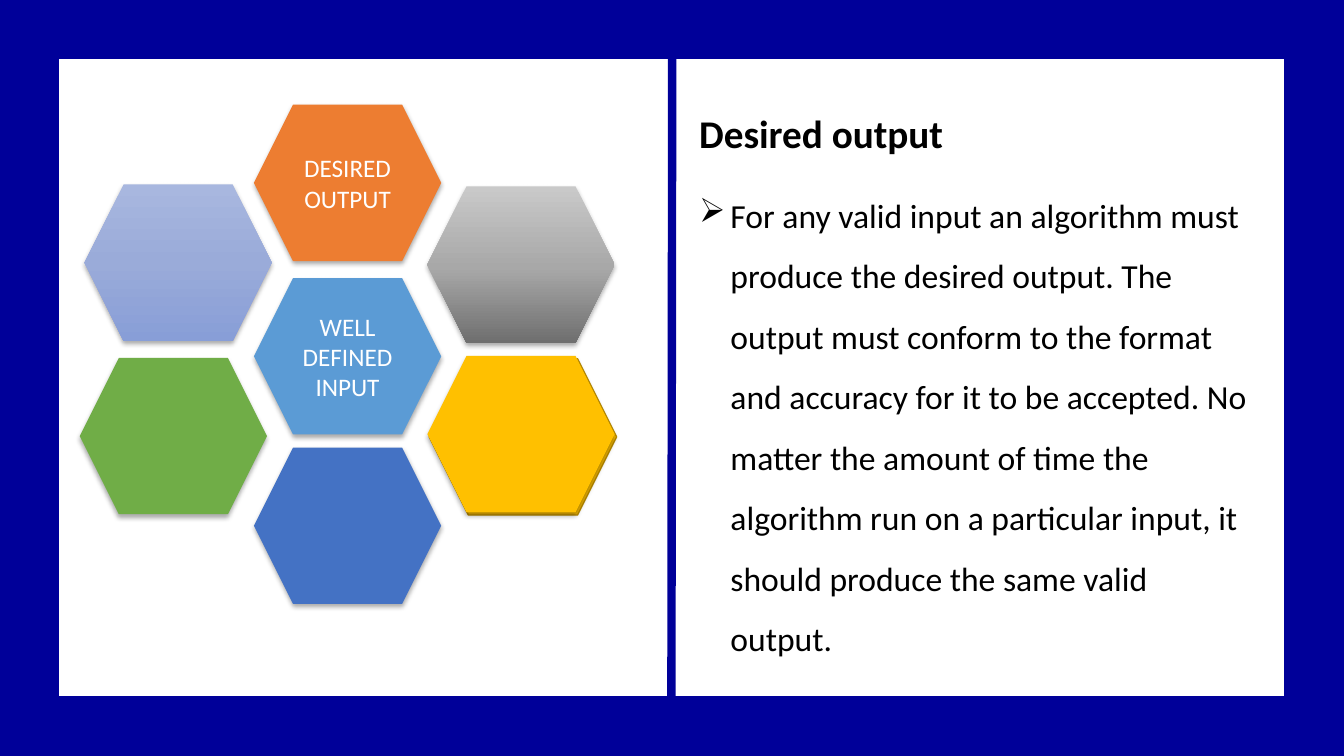
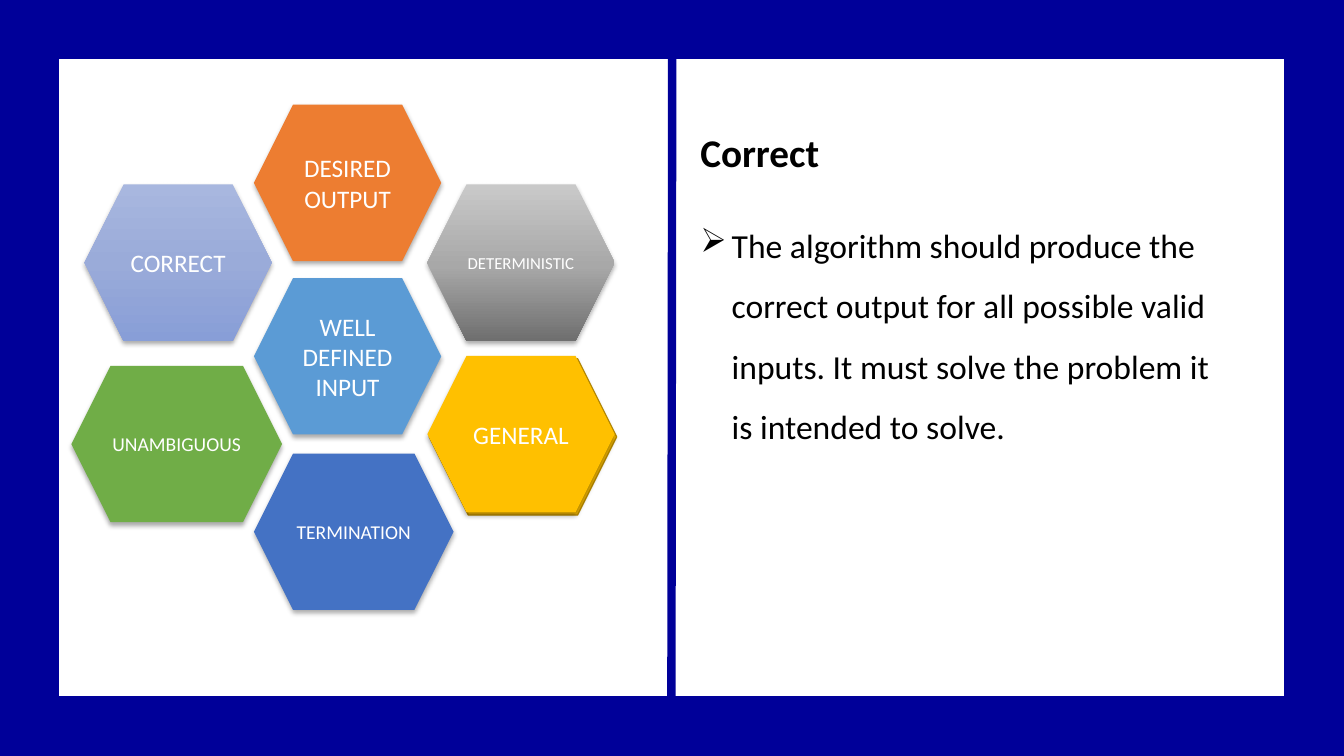
"""Build two slides on the properties of an algorithm, each with a honeycomb and an explanation."""
from lxml import etree
from pptx import Presentation
from pptx import util as u
from pptx.dml.color import RGBColor
from pptx.enum import shapes, text
from pptx.oxml import ns

COLOURS = {
    "frame": "000099", "ink": "000000", "paper": "FFFFFF",
    "orange": "ED7D31", "sky": "5B9BD5", "green": "70AD47",
    "gold": "FFC000", "dark gold": "BD8E00", "blue": "4472C4",
}
GRADIENTS = {
    "grey": [(0, "C9C9C9"), (52, "A8A8A8"), (100, "6F6F6F")],
    "lavender": [(0, "A8B7DF"), (50, "9AABD9"), (100, "889ED7")],
}
FONT = "Calibri"
WIDTH, HEIGHT = 33.87, 19.05
DIVIDER = (16.94, 1.42, 16.92, 17.6)
CELL_WIDTH, CELL_HEIGHT = 4.72, 3.94
TITLE_HEIGHT = 1.45
BULLET_INDENT = 0.79
LABEL_STYLE = {"size": u.Pt(18), "name": FONT}
TITLE_STYLE = {"size": u.Pt(28), "name": FONT, "bold": True}
BODY_STYLE = {"size": u.Pt(24), "name": FONT}

HONEYCOMB = {
    "orange": {"left": 6.4, "top": 2.64, "label": "DESIRED OUTPUT"},
    "grey": {"left": 10.77, "top": 4.7},
    "sky": {"left": 6.4, "top": 7.01, "label": "WELL DEFINED INPUT"},
    "lavender": {"left": 2.13, "top": 4.65},
    "dark gold": {"left": 10.82, "top": 9.04, "fill": "gold", "outline": "dark gold"},
    "green": {"left": 2.01, "top": 9.02},
    "gold": {"left": 10.77, "top": 8.97},
    "blue": {"left": 6.4, "top": 11.28},
}
SLIDES = [
    {
        "title": "Desired output",
        "title_box": (17.37, 2.64, 7.21, TITLE_HEIGHT),
        "body": "For any valid input an algorithm must produce the desired output. "
                "The output must conform to the format and accuracy for it to be accepted. "
                "No matter the amount of time the algorithm run on a particular input, "
                "it should produce the same valid output.",
        "body_box": (17.37, 4.27, 14.4, 12.57),
        "cells": {},
    },
    {
        "title": "Correct",
        "title_box": (17.4, 3.1, 3.56, TITLE_HEIGHT),
        "body": "The algorithm should produce the correct output for all possible valid inputs. "
                "It must solve the problem it is intended to solve.",
        "body_box": (17.4, 5.03, 14, 6.4),
        "cells": {
            "grey": {"top": 4.65, "label": "DETERMINISTIC", "size": 12},
            "lavender": {"label": "CORRECT"},
            "green": {"left": 1.8, "top": 9.22, "width": 5.31, "label": "UNAMBIGUOUS", "size": 14},
            "gold": {"label": "GENERAL"},
            "blue": {"top": 11.43, "width": 5.03, "label": "TERMINATION", "size": 14},
        },
    },
]


def colour(name):
    return RGBColor.from_string(COLOURS[name])


def lengths(values):
    return [u.Cm(value) for value in values]


def child(parent, tag, **attributes):
    return etree.SubElement(parent, ns.qn(tag), attributes)


def write(paragraph, words, style, ink):
    run = paragraph.add_run()
    run.text = words
    for name, value in style.items():
        setattr(run.font, name, value)
    run.font.color.rgb = colour(ink)


def draw_line(line, name, points):
    line.color.rgb = colour(name)
    line.width = u.Pt(points)


def paint(fill, name):
    if name not in GRADIENTS:
        fill.solid()
        fill.fore_color.rgb = colour(name)
        return
    fill.gradient()
    fill.gradient_angle = 270


def set_stops(shape, stops):
    stop_list = shape._element.spPr.find(".//" + ns.qn("a:gsLst"))
    for stop in list(stop_list):
        stop_list.remove(stop)
    for percent, value in stops:
        stop = child(stop_list, "a:gs", pos=str(percent * 1000))
        child(stop, "a:srgbClr", val=value)


def add_soft_shadow(shape):
    effects = shape._element.spPr.find(ns.qn("a:effectLst"))
    shadow = child(effects, "a:outerShdw", blurRad=str(u.Pt(3.5)), dist=str(u.Pt(2.2)),
                   dir="5400000", algn="ctr", rotWithShape="0")
    child(child(shadow, "a:srgbClr", val=COLOURS["ink"]), "a:alpha", val="32000")


def add_frame(slide):
    frame = slide.shapes.add_shape(shapes.MSO_SHAPE.RECTANGLE, *lengths((0, 0, WIDTH, HEIGHT)))
    frame.shadow.inherit = False
    frame.fill.background()
    draw_line(frame.line, "frame", 85)
    divider = slide.shapes.add_connector(shapes.MSO_CONNECTOR.STRAIGHT, *lengths(DIVIDER))
    draw_line(divider.line, "frame", 6)
    child(divider._element.spPr, "a:effectLst")


def add_cell(slide, name, cell):
    box = (cell["left"], cell["top"], cell.get("width", CELL_WIDTH), CELL_HEIGHT)
    hexagon = slide.shapes.add_shape(shapes.MSO_SHAPE.HEXAGON, *lengths(box))
    hexagon.shadow.inherit = False
    paint(hexagon.fill, cell.get("fill", name))
    if name in GRADIENTS:
        set_stops(hexagon, GRADIENTS[name])
    if "outline" in cell:
        draw_line(hexagon.line, cell["outline"], 1)
    else:
        hexagon.line.fill.background()
        add_soft_shadow(hexagon)
    if "label" in cell:
        frame = hexagon.text_frame
        frame.vertical_anchor = text.MSO_ANCHOR.MIDDLE
        paragraph = frame.paragraphs[0]
        paragraph.alignment = text.PP_ALIGN.CENTER
        style = {**LABEL_STYLE, "size": u.Pt(cell.get("size", 18))}
        write(paragraph, cell["label"], style, "paper")


def add_text(slide, words, box, style, wrap):
    frame = slide.shapes.add_textbox(*lengths(box)).text_frame
    frame.word_wrap = wrap
    frame.auto_size = text.MSO_AUTO_SIZE.SHAPE_TO_FIT_TEXT
    paragraph = frame.paragraphs[0]
    write(paragraph, words, style, "ink")
    return paragraph


def add_bullet(paragraph):
    paragraph.line_spacing = 1.5
    properties = paragraph._p.get_or_add_pPr()
    properties.set("marL", str(u.Cm(BULLET_INDENT)))
    properties.set("indent", str(-u.Cm(BULLET_INDENT)))
    child(properties, "a:buChar", char="➢")


def main():
    presentation = Presentation()
    presentation.slide_width, presentation.slide_height = lengths((WIDTH, HEIGHT))
    for content in SLIDES:
        slide = presentation.slides.add_slide(presentation.slide_layouts[6])
        paint(slide.background.fill, "paper")
        add_frame(slide)
        for name, cell in HONEYCOMB.items():
            add_cell(slide, name, {**cell, **content["cells"].get(name, {})})
        add_text(slide, content["title"], content["title_box"], TITLE_STYLE, False)
        add_bullet(add_text(slide, content["body"], content["body_box"], BODY_STYLE, True))
    presentation.save("out.pptx")


if __name__ == "__main__":
    main()
